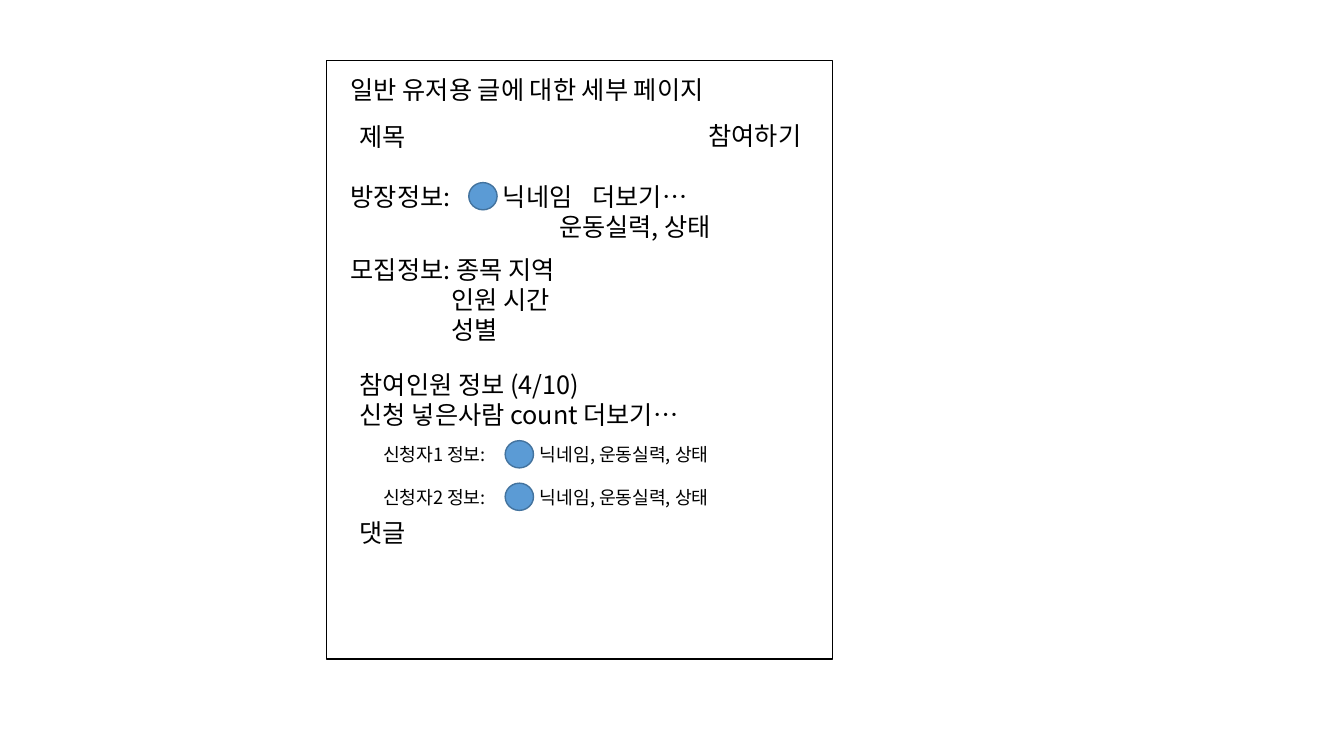
import pptx
import pptx.dml.color
import pptx.enum.shapes
import pptx.oxml
import pptx.oxml.ns
import pptx.util
import lxml.etree

BLACK = pptx.dml.color.RGBColor(0x00, 0x00, 0x00)
AVATAR_FILL = pptx.dml.color.RGBColor(0x5B, 0x9B, 0xD5)
AVATAR_LINE = pptx.dml.color.RGBColor(0x43, 0x73, 0x9E)
FONT = "Noto Sans CJK KR"
SHAPES = pptx.enum.shapes.MSO_SHAPE
GRID = 100
BODY, SMALL = 18, 13


def place(box, left, top, width, height):
    """Turn columns and rows of the box's grid into slide lengths."""
    column, row = box[2] / GRID, box[3] / GRID
    return (int(box[0] + left * column), int(box[1] + top * row),
            int(width * column), int(height * row))


def add_outline(page, kind, area, line, fill=None):
    """Draw a preset shape with a one-point line and an optional fill."""
    shape = page.shapes.add_shape(kind, *area)
    shape.shadow.inherit = False
    if fill is None:
        shape.fill.background()
    else:
        shape.fill.solid()
        shape.fill.fore_color.rgb = fill
    shape.line.color.rgb = line
    shape.line.width = pptx.util.Pt(1)


def set_tabs(para, stops):
    """Give a paragraph left-aligned tab stops."""
    tabs = lxml.etree.SubElement(para._p.get_or_add_pPr(), pptx.oxml.ns.qn("a:tabLst"))
    for stop in stops:
        lxml.etree.SubElement(tabs, pptx.oxml.ns.qn("a:tab"), pos=str(int(stop)), algn="l")


def add_text(page, box, area, lines, size=BODY, gap=0):
    """Write lines of (text, tab columns) in a text box on the grid."""
    frame = page.shapes.add_textbox(*place(box, *area)).text_frame
    frame.word_wrap = True
    for index, (text, stops) in enumerate(lines):
        para = frame.paragraphs[0] if index == 0 else frame.add_paragraph()
        if index:
            para.space_before = pptx.util.Pt(gap)
        if stops:
            set_tabs(para, [stop * box[2] / GRID for stop in stops])
        span = para.add_run()
        span.text = text
        span.font.size = pptx.util.Pt(size)
        span.font.name = FONT
        span.font.color.rgb = BLACK
        lxml.etree.SubElement(span._r.get_or_add_rPr(), pptx.oxml.ns.qn("a:ea"), typeface=FONT)


def add_avatar(page, box, left, top):
    """Draw a round profile marker."""
    add_outline(page, SHAPES.OVAL, place(box, left, top, 5.6, 4.55), AVATAR_LINE, AVATAR_FILL)


def add_header(page, box):
    """Place the page heading, the post title and the join button."""
    add_text(page, box, (2.8, 1.5, 85, 6.7), [("일반 유저용 글에 대한 세부 페이지", ())])
    add_text(page, box, (4.6, 9.25, 58, 6.7), [("제목", ())])
    add_text(page, box, (73.5, 9.1, 25.3, 6.7), [("참여하기", ())])


def add_room(page, box):
    """Place the host details and the recruiting details."""
    add_text(page, box, (2.8, 19.35, 81.7, 12),
             [("방장정보:\t닉네임\t더보기…", (30.1, 47.8)), ("\t운동실력, 상태", (41.2,))])
    add_avatar(page, box, 28.1, 20.4)
    add_text(page, box, (2.8, 31.5, 81.7, 17),
             [("모집정보: 종목 지역", ()), ("\t인원 시간", (19.9,)), ("\t성별", (19.9,))])


def add_members(page, box):
    """Place the member count, the applicants and the comments label."""
    add_text(page, box, (4.6, 50.7, 81.7, 12),
             [("참여인원 정보 (4/10)", ()), ("신청 넣은사람 count 더보기…", ())])
    applicants = [(f"신청자{number} 정보:\t닉네임, 운동실력, 상태", (31,)) for number in (1, 2)]
    add_text(page, box, (9.2, 63.1, 90.8, 12.8), applicants, SMALL, 15.4)
    for index in range(len(applicants)):
        add_avatar(page, box, 35.3, 63.5 + 7.1 * index)
    add_text(page, box, (4.6, 75.4, 81.7, 6.7), [("댓글", ())])


def add_post_page(deck):
    """Build the post detail wireframe on a blank page."""
    page = deck.slides.add_slide(deck.slide_layouts[6])
    slide_box = (0, 0, deck.slide_width, deck.slide_height)
    card = place(slide_box, 24.3, 8, 37.65, 79.2)
    add_outline(page, SHAPES.RECTANGLE, card, BLACK)
    for add_region in (add_header, add_room, add_members):
        add_region(page, card)


deck = pptx.Presentation()
deck.slide_width = pptx.util.Inches(13.33)
deck.slide_height = pptx.util.Inches(7.5)
add_post_page(deck)
deck.save("out.pptx")
